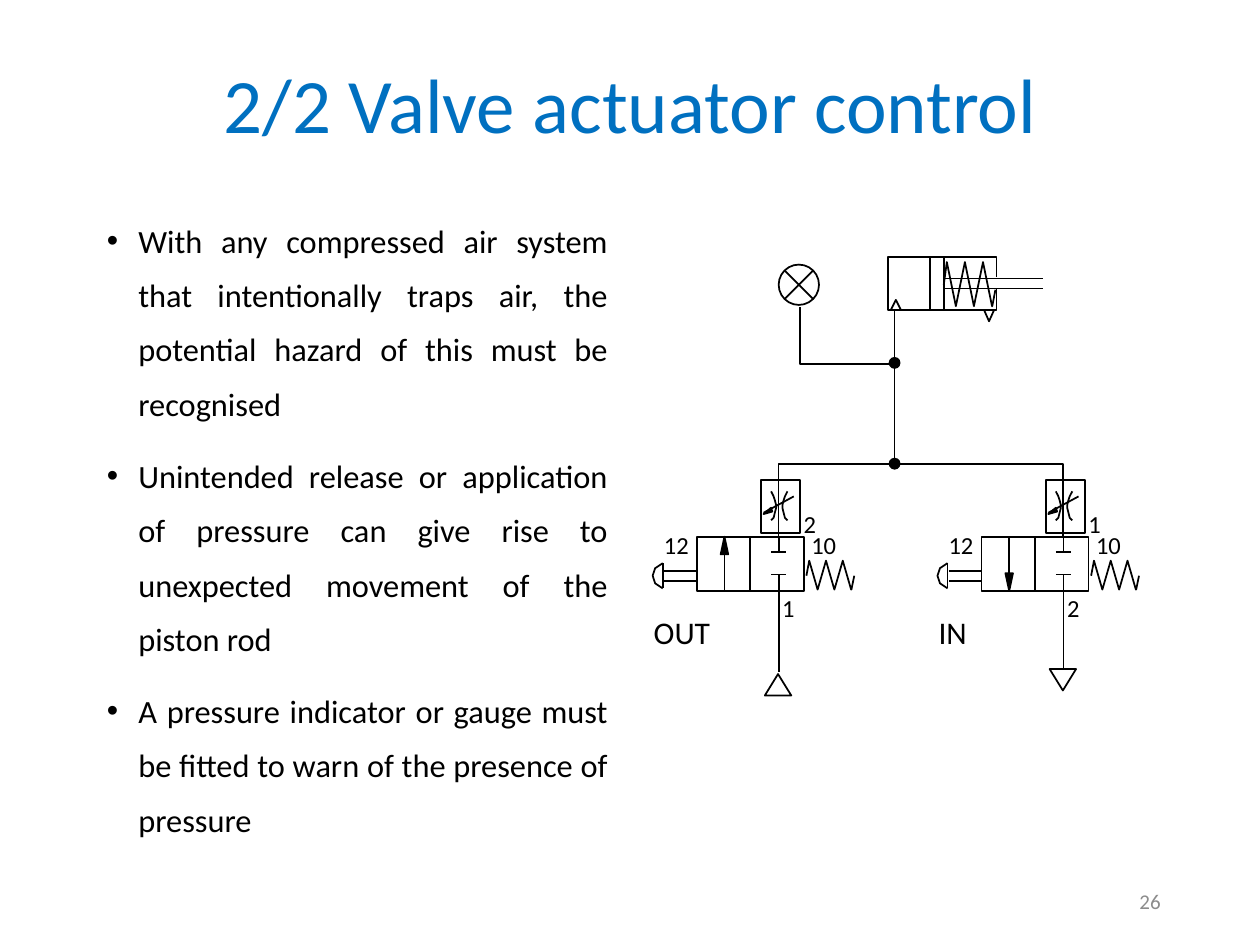
from lxml import etree
from pptx import Presentation
from pptx.dml.color import RGBColor
from pptx.enum.shapes import MSO_CONNECTOR, MSO_SHAPE
from pptx.enum.text import MSO_ANCHOR, PP_ALIGN
from pptx.oxml.ns import qn
from pptx.util import Inches, Pt

STRAIGHT = MSO_CONNECTOR.STRAIGHT
ELLIPSE = MSO_SHAPE.OVAL
RECTANGLE = MSO_SHAPE.RECTANGLE
TRIANGLE = MSO_SHAPE.ISOSCELES_TRIANGLE
MIDDLE, TOP = MSO_ANCHOR.MIDDLE, MSO_ANCHOR.TOP
LEFT, CENTER, RIGHT, JUSTIFY = PP_ALIGN.LEFT, PP_ALIGN.CENTER, PP_ALIGN.RIGHT, PP_ALIGN.JUSTIFY
FONT = "Calibri"
COLORS = {"title": "0070C0", "ink": "000000", "number": "8C8C8C"}
BULLETS = [
    "With any compressed air system that intentionally traps air, the potential hazard of this must be recognised",
    "Unintended release or application of pressure can give rise to unexpected movement of the piston rod",
    "A pressure indicator or gauge must be fitted to warn of the presence of pressure",
]


def color(name):
    return RGBColor.from_string(COLORS[name])


def style(shape, filled):
    shape.shadow.inherit = False
    if filled:
        shape.fill.solid()
        shape.fill.fore_color.rgb = color("ink")
    else:
        shape.fill.background()
    shape.line.color.rgb = color("ink")
    shape.line.width = Pt(1)


def add_preset(shapes, kind, left, top, width, height, filled=False):
    shape = shapes.add_shape(kind, Inches(left), Inches(top), Inches(width), Inches(height))
    style(shape, filled)
    return shape


def add_line(shapes, x1, y1, x2, y2):
    line = shapes.add_connector(STRAIGHT, Inches(x1), Inches(y1), Inches(x2), Inches(y2))
    line.line.color.rgb = color("ink")
    line.line.width = Pt(1)
    etree.SubElement(line._element.spPr, qn("a:effectLst"))
    return line


def add_outline(shapes, left, top, points, filled=False):
    corners = [(Inches(left + x), Inches(top + y)) for x, y in points]
    builder = shapes.build_freeform(*corners[0])
    builder.add_line_segments(corners[1:], close=filled)
    style(builder.convert_to_shape(), filled)


def add_run(paragraph, text, size, color_name):
    run = paragraph.add_run()
    run.text = text
    run.font.name = FONT
    run.font.size = Pt(size)
    run.font.color.rgb = color(color_name)


def add_text(shapes, box, text, size, color_name="ink", align=LEFT, anchor=TOP, wrap=False):
    frame = shapes.add_textbox(*map(Inches, box)).text_frame
    frame.word_wrap = wrap
    frame.vertical_anchor = anchor
    paragraph = frame.paragraphs[0]
    paragraph.alignment = align
    add_run(paragraph, text, size, color_name)
    return paragraph


def add_title(shapes, box):
    paragraph = add_text(shapes, box, "2/2 Valve actuator control", 44, "title", CENTER, MIDDLE, True)
    paragraph.line_spacing = 0.9


def add_label(shapes, left, top, text):
    add_text(shapes, (left, top, 0.21 + 0.1 * len(text), 0.33), text, 14)


def add_bullets(shapes, box):
    frame = shapes.add_textbox(*map(Inches, box)).text_frame
    frame.word_wrap = True
    for index, text in enumerate(BULLETS):
        paragraph = frame.add_paragraph() if index else frame.paragraphs[0]
        paragraph.alignment = JUSTIFY
        paragraph.line_spacing = 1.4
        paragraph.space_before = Pt(10 if index else 0)
        properties = paragraph._p.get_or_add_pPr()
        properties.set("marL", str(Inches(0.25)))
        properties.set("indent", str(-Inches(0.25)))
        etree.SubElement(properties, qn("a:buFont"), typeface="Arial")
        etree.SubElement(properties, qn("a:buChar"), char="•")
        add_run(paragraph, text, 18.5, "ink")


def add_indicator(slide, left, top, size):
    shapes = slide.shapes.add_group_shape().shapes
    add_preset(shapes, ELLIPSE, left, top, size, size)
    near, far = size * 0.15, size * 0.85
    add_line(shapes, left + near, top + near, left + far, top + far)
    add_line(shapes, left + far, top + near, left + near, top + far)


def add_spring(shapes, left, top, width, height, start, end):
    zigzag = [(width * (0.06 + 0.175 * i), height * (i % 2)) for i in range(6)]
    points = [(0, start), *zigzag, (width * 0.94, height), (width, end)]
    add_outline(shapes, left, top, points)


def add_cylinder(slide, left, top, width, height):
    shapes = slide.shapes.add_group_shape().shapes
    add_outline(shapes, left, top, [(width, 0.16), (width, 0), (0, 0), (0, height),
                                    (width, height), (width, 0.25)])
    for x in (0.33, 0.44):
        add_line(shapes, left + x, top, left + x, top + height)
    for y in (0.17, 0.25):
        add_line(shapes, left + 0.44, top + y, left + 1.23, top + y)
    add_spring(shapes, left + 0.44, top + 0.04, 0.41, 0.35, 0.18, 0.22)
    for x, tip in ((0.02, -0.08), (0.76, 0.09)):
        add_outline(shapes, left + x, top + height, [(0, 0), (0.04, tip), (0.08, 0)])


def add_flow_control(slide, left, top, width, height):
    shapes = slide.shapes.add_group_shape().shapes
    add_preset(shapes, RECTANGLE, left, top, width, height)
    add_line(shapes, left + 0.26, top + 0.13, left + 0.02, top + 0.26)
    add_outline(shapes, left, top, [(0.02, 0.27), (0.09, 0.25), (0.08, 0.22)], True)
    curve = [(0, 0), (0.02, 0.04), (0.03, 0.07), (0.04, 0.11), (0.04, 0.13),
             (0.03, 0.17), (0.02, 0.21), (0, 0.23)]
    add_outline(shapes, left + 0.08, top + 0.09, curve)
    add_outline(shapes, left + 0.21, top + 0.09, [(-x, y) for x, y in curve])


def add_valve(slide, left, top, width, height, upward):
    shapes = slide.shapes.add_group_shape().shapes
    bottom = top + height
    body = add_preset(shapes, RECTANGLE, left, top, width, height)
    divider = add_line(shapes, left + width / 2, top, left + width / 2, bottom)
    divider.begin_connect(body, 0)
    divider.end_connect(body, 2)

    flow = left + 0.22
    add_line(shapes, flow, top, flow, bottom)
    tip, base = (0, 0.14) if upward else (height, height - 0.14)
    add_outline(shapes, flow, top, [(0, tip), (-0.03, base), (0.03, base)], True)

    port = left + 0.65
    for edge, stop in ((top, top + 0.12), (bottom, bottom - 0.13)):
        add_line(shapes, port, edge, port, stop)
        add_line(shapes, port - 0.06, stop, port + 0.06, stop)

    add_spring(shapes, left + width + 0.02, top + 0.19, 0.38, 0.23, 0.12, 0.12)
    add_line(shapes, left - 0.27, top + 0.21, left - 0.27, top + 0.41)
    add_outline(shapes, left - 0.35, top + 0.21,
                [(0.08, 0), (0.02, 0.04), (0, 0.1), (0.02, 0.16), (0.08, 0.2)])
    for y in (0.27, 0.35):
        add_line(shapes, left - 0.26, top + y, left, top + y)
    add_label(shapes, left - 0.36, top - 0.1, "12")
    add_label(shapes, left + 0.81, top - 0.1, "10")


def add_branch(slide, left, top, name, name_width, ports, supply):
    shapes = slide.shapes
    port, bottom = left + 0.65, top + 0.43
    add_flow_control(slide, left + 0.51, top - 0.45, 0.31, 0.42)
    add_valve(slide, left, top, 0.85, 0.43, supply)
    end = bottom + (0.64 if supply else 0.62)
    add_line(shapes, port, bottom, port, end)
    triangle = add_preset(shapes, TRIANGLE, port - 0.11, end + (0.02 if supply else 0), 0.21, 0.17)
    triangle.rotation = 0 if supply else 180
    add_label(shapes, left + 0.75, top - 0.27, ports[0])
    add_label(shapes, left + 0.58, top + 0.4, ports[1])
    add_text(shapes, (left - 0.44, top + 0.56, name_width, 0.4), name, 18)


def add_circuit(slide, left, top):
    shapes = slide.shapes
    junction, node, manifold = left + 1.92, top + 0.84, top + 1.64
    add_indicator(slide, left + 1, top + 0.06, 0.32)
    add_cylinder(slide, left + 1.87, top, 0.86, 0.42)
    add_outline(shapes, left + 1.17, top + 0.4, [(0, 0), (0, 0.45), (0.76, 0.45)])
    add_line(shapes, junction, top + 0.42, junction, manifold)
    for y in (node, manifold):
        add_preset(shapes, ELLIPSE, junction - 0.04, y - 0.04, 0.08, 0.08, True)
    add_outline(shapes, left + 1, manifold, [(0, 0.58), (0, 0), (2.26, 0), (2.26, 0.58)])
    add_branch(slide, left + 0.35, top + 2.22, "OUT", 0.73, "21", True)
    add_branch(slide, left + 2.61, top + 2.22, "IN", 0.45, "12", False)


def main():
    presentation = Presentation()
    presentation.slide_width = Inches(10)
    presentation.slide_height = Inches(7.5)
    slide = presentation.slides.add_slide(presentation.slide_layouts[6])
    shapes = slide.shapes
    add_title(shapes, (1.27, 0.46, 7.47, 0.81))
    add_bullets(shapes, (0.75, 1.58, 4.17, 5.37))
    add_circuit(slide, 5.18, 2.04)
    add_text(shapes, (7.06, 6.95, 2.25, 0.4), "26", 12, "number", RIGHT, MIDDLE, True)
    presentation.save("out.pptx")


if __name__ == "__main__":
    main()
